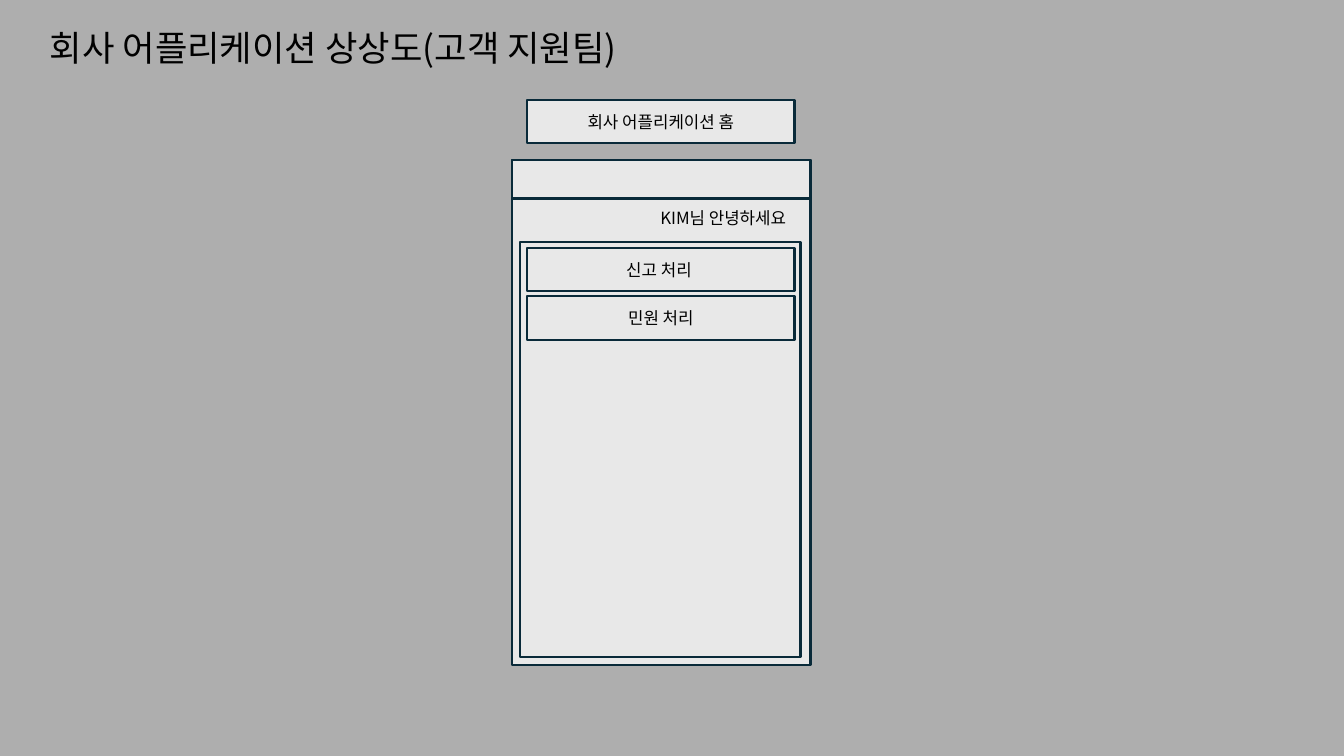
from dataclasses import dataclass

from lxml.etree import SubElement
from pptx import Presentation
from pptx.dml.color import RGBColor
from pptx.enum.shapes import MSO_SHAPE as Shape
from pptx.enum.text import MSO_ANCHOR as Anchor, MSO_AUTO_SIZE as AutoSize, PP_ALIGN as Align
from pptx.oxml.ns import qn
from pptx.util import Pt

PX = 9144


@dataclass(frozen=True)
class Theme:
    """Colours, font and sizes of the slide."""
    background: RGBColor = RGBColor(0xAE, 0xAE, 0xAE)
    panel: RGBColor = RGBColor(0xE8, 0xE8, 0xE8)
    border: RGBColor = RGBColor(0x09, 0x2A, 0x39)
    ink: RGBColor = RGBColor(0, 0, 0)
    font: str = "Noto Sans CJK KR"
    title_size: float = 25.2
    label_size: float = 12
    border_width: float = 1.5


THEME = Theme()


def px(*lengths):
    """Turn pixel lengths into EMU."""
    return [length * PX for length in lengths]


def write(frame, words, size, align, anchor):
    """Write one styled run into a text frame."""
    frame.vertical_anchor = anchor
    paragraph = frame.paragraphs[0]
    paragraph.alignment = align
    run = paragraph.add_run()
    run.text = words
    run.font.size = Pt(size)
    run.font.name = THEME.font
    run.font.color.rgb = THEME.ink
    SubElement(run._r.get_or_add_rPr(), qn("a:ea"), typeface=THEME.font)
    return paragraph


def add_panel(shapes, left, top, width, height):
    """Draw a bordered rectangle."""
    panel = shapes.add_shape(Shape.RECTANGLE, *px(left, top, width, height))
    panel.shadow.inherit = False
    panel.fill.solid()
    panel.fill.fore_color.rgb = THEME.panel
    panel.line.color.rgb = THEME.border
    panel.line.width = Pt(THEME.border_width)
    return panel


def add_button(shapes, top, words):
    """Draw a panel with a centred label."""
    button = add_panel(shapes, 523, top, 265, 43)
    write(button.text_frame, words, THEME.label_size, Align.CENTER, Anchor.MIDDLE)


def add_greeting(shapes, words):
    """Place the greeting above the menu."""
    greeting = shapes.add_textbox(*px(645, 201, 161, 30))
    greeting.text_frame.word_wrap = True
    greeting.text_frame.auto_size = AutoSize.SHAPE_TO_FIT_TEXT
    write(greeting.text_frame, words, THEME.label_size, Align.LEFT, Anchor.TOP)


def add_title(slide, words):
    """Fill the title placeholder and drop the subtitle."""
    title = slide.shapes.title
    title.left, title.top, title.width, title.height = px(14, 13, 633, 61)
    title.text_frame.auto_size = AutoSize.NONE
    heading = write(title.text_frame, words, THEME.title_size, Align.CENTER, Anchor.BOTTOM)
    heading.line_spacing = 0.9
    subtitle = slide.placeholders[1].element
    subtitle.getparent().remove(subtitle)


def main():
    """Build the support team app mock-up."""
    deck = Presentation()
    deck.slide_width, deck.slide_height = px(1333, 750)
    slide = deck.slides.add_slide(deck.slide_layouts[0])
    slide.background.fill.solid()
    slide.background.fill.fore_color.rgb = THEME.background
    add_title(slide, "회사 어플리케이션 상상도(고객 지원팀)")

    app_window = slide.shapes.add_group_shape()
    for height in (501, 38):
        add_panel(app_window.shapes, 508, 159, 296, height)
    add_panel(slide.shapes, 516, 240, 278, 412)
    add_greeting(slide.shapes, "KIM님 안녕하세요")

    add_button(slide.shapes, 99, "회사 어플리케이션 홈")
    for row, words in enumerate(("신고 처리 ", "민원 처리")):
        add_button(slide.shapes, 246 + row * 48, words)
    deck.save("out.pptx")


if __name__ == "__main__":
    main()
